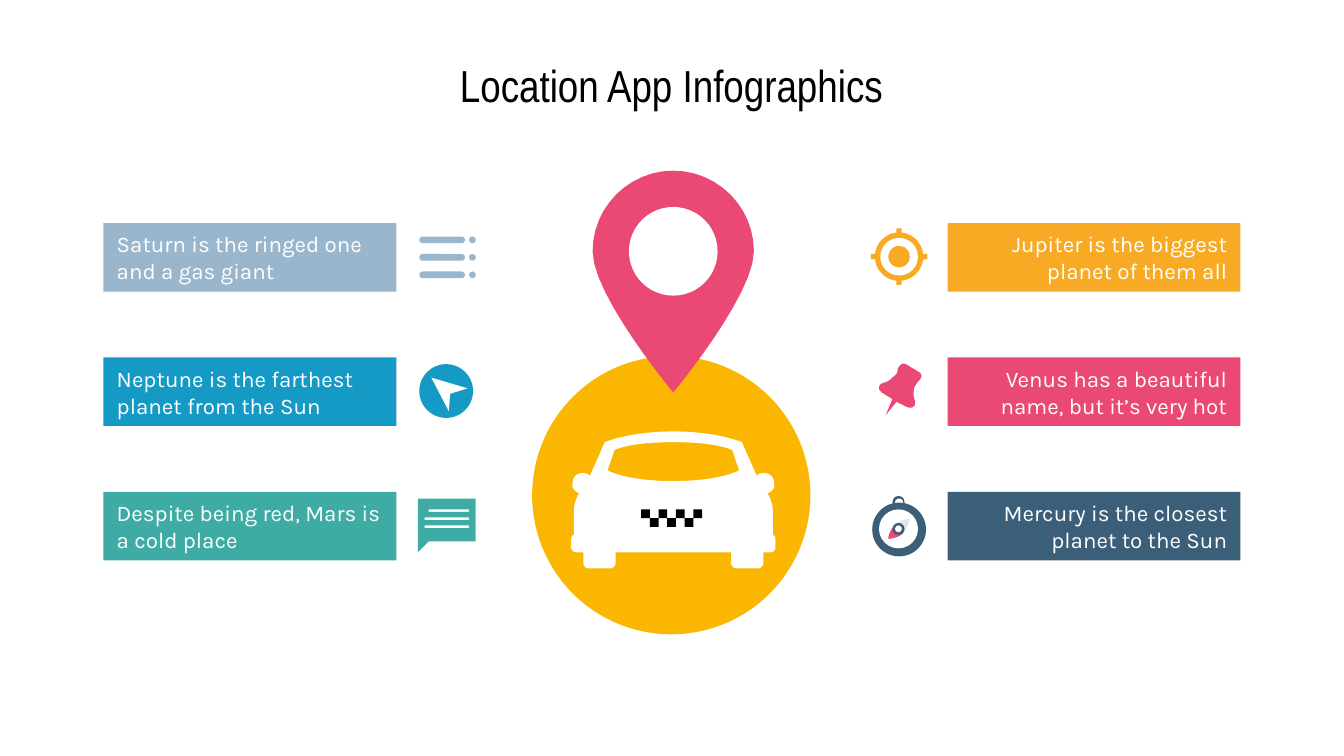
from dataclasses import dataclass

from pptx import Presentation
from pptx import util as u
from pptx.dml.color import RGBColor
from pptx.enum import shapes as sh
from pptx.enum import text as tx

PX = 9144  # EMU per px, 100 px to the inch

WHITE = RGBColor(0xFF, 0xFF, 0xFF)
BLACK = RGBColor(0x00, 0x00, 0x00)
MIST = RGBColor(0x99, 0xB6, 0xCC)
BLUE = RGBColor(0x15, 0x9A, 0xC6)
TEAL = RGBColor(0x3F, 0xAB, 0xA5)
ORANGE = RGBColor(0xF8, 0xAA, 0x25)
PINK = RGBColor(0xE9, 0x49, 0x74)
NAVY = RGBColor(0x3C, 0x5F, 0x79)
YELLOW = RGBColor(0xFA, 0xB6, 0x00)
GREY = RGBColor(0xE6, 0xE6, 0xE6)

RECT = sh.MSO_SHAPE.RECTANGLE
OVAL = sh.MSO_SHAPE.OVAL
ROUND = sh.MSO_SHAPE.ROUNDED_RECTANGLE
LEFT, RIGHT = tx.PP_ALIGN.LEFT, tx.PP_ALIGN.RIGHT

Points = list[tuple[float, float]]


@dataclass
class Card:
    x: int
    row: int
    fill: RGBColor
    align: tx.PP_ALIGN
    words: str


CARDS = [
    Card(77, 0, MIST, LEFT, "Saturn is the ringed one and a gas giant"),
    Card(77, 1, BLUE, LEFT, "Neptune is the farthest planet from the Sun"),
    Card(77, 2, TEAL, LEFT, "Despite being red, Mars is a cold place"),
    Card(705, 0, ORANGE, RIGHT, "Jupiter is the biggest planet of them all"),
    Card(705, 1, PINK, RIGHT, "Venus has a beautiful name, but it’s very hot"),
    Card(705, 2, NAVY, RIGHT, "Mercury is the closest planet to the Sun"),
]

# Outlines: a pair is a line, six numbers are a Bezier curve
PIN = [(501, 127), (468, 127, 441, 154, 441, 187), (441, 220, 501, 292, 501, 292)]
GLASS = [(501, 329), (478, 329, 463, 332, 457, 335), (455, 342, 453, 347, 452, 350),
         (452, 350, 466, 358, 501, 358)]
BODY = [(501, 321), (469, 321, 450, 329, 450, 329), (439, 354),
        (438, 353, 436, 352, 434, 352), (428, 352, 426, 356, 426, 360),
        (425, 363, 428, 366, 431, 367), (428, 372, 427, 376, 427, 381), (427, 398),
        (426, 398, 425, 400, 425, 401), (425, 407), (425, 410, 427, 411, 430, 411),
        (434, 411), (434, 419), (434, 421, 436, 423, 438, 423), (454, 423),
        (456, 423, 458, 421, 458, 419), (458, 411)]
TACK = [(674, 271), (672, 270, 670, 271, 669, 273), (668, 274), (668, 277, 667, 279, 665, 280),
        (663, 282, 661, 284, 657, 285), (654, 286, 653, 289, 655, 291), (656, 292), (664, 297),
        (659, 309), (667, 299), (675, 303), (678, 304, 679, 303, 679, 303),
        (681, 302, 681, 300, 681, 299), (679, 294, 680, 291, 680, 289),
        (681, 287, 682, 285, 684, 283), (686, 281, 686, 278, 684, 277)]
NORTH = [(677, 386), (677, 386, 670, 386, 666, 391), (672, 397), (676, 392, 677, 386, 677, 386)]
SOUTH = [(666, 391), (661, 395, 661, 401, 661, 401), (661, 401, 667, 401, 672, 397)]

prs = Presentation()
prs.slide_width = 1000 * PX
prs.slide_height = prs.slide_width * 9 // 16
slide = prs.slides.add_slide(prs.slide_layouts[5])
parts = slide.shapes


def paint(shape, fill: RGBColor):
    shape.shadow.inherit = False
    shape.fill.solid()
    shape.fill.fore_color.rgb = fill
    shape.line.fill.background()
    return shape


def block(kind: sh.MSO_SHAPE, x: int, y: int, w: int, h: int, fill: RGBColor):
    return paint(parts.add_shape(kind, x * PX, y * PX, w * PX, h * PX), fill)


def disc(x: int, y: int, d: int, fill: RGBColor):
    return block(OVAL, x, y, d, d, fill)


def trace(steps: list[tuple], cuts: int = 12) -> Points:
    """Turn lines and curves into points."""
    pts = [steps[0]]
    for step in steps[1:]:
        if len(step) == 2:
            pts.append(step)
            continue
        knots = [pts[-1], step[:2], step[2:4], step[4:]]
        for i in range(1, cuts + 1):
            t = i / cuts
            mix = ((1 - t) ** 3, 3 * t * (1 - t) ** 2, 3 * t * t * (1 - t), t ** 3)
            pts.append(tuple(sum(m * k[a] for m, k in zip(mix, knots)) for a in (0, 1)))
    return pts


def mirror(steps: list[tuple], axis: int = 501) -> Points:
    """Complete a left half with its reflection."""
    half = trace(steps)
    return half + [(2 * axis - x, y) for x, y in reversed(half)]


def box(x: float, y: float, w: float, h: float) -> Points:
    return [(x, y), (x + w, y), (x + w, y + h), (x, y + h)]


def draw(fill: RGBColor, *loops: Points):
    """Draw closed loops as one outline; inner loops are holes."""
    pen = None
    for loop in loops:
        (x, y), *rest = [(round(a * PX), round(b * PX)) for a, b in loop]
        if pen is None:
            pen = parts.build_freeform(x, y)
        else:
            pen.move_to(x, y)
        pen.add_line_segments(rest, close=True)
    return paint(pen.convert_to_shape(), fill)


def write(shape, words: str, font: str, size: int, color: RGBColor, align: tx.PP_ALIGN):
    frame = shape.text_frame
    frame.text = words
    frame.word_wrap = True
    frame.auto_size = tx.MSO_AUTO_SIZE.NONE
    frame.vertical_anchor = tx.MSO_ANCHOR.MIDDLE
    frame.margin_left = frame.margin_right = 10 * PX
    frame.margin_top = frame.margin_bottom = 10 * PX
    para = frame.paragraphs[0]
    para.alignment = align
    para.font.name, para.font.size = font, u.Pt(size)
    para.font.color.rgb = color


# Title
title = parts.title
title.left, title.top, title.width, title.height = 232 * PX, 42 * PX, 535 * PX, 42 * PX
write(title, "Location App Infographics", "Arial Narrow", 24, BLACK, tx.PP_ALIGN.CENTER)

# Text cards
for card in CARDS:
    bar = block(RECT, card.x, 166 + 100 * card.row, 218, 51, card.fill)
    write(bar, card.words, "Karla", 12, WHITE, card.align)

# Taxi and map pin
disc(396, 265, 207, YELLOW)
draw(WHITE, mirror(BODY), mirror(GLASS))
draw(PINK, mirror(PIN))
disc(468, 154, 66, WHITE)
side = 6.5
draw(BLACK, *[box(477 + side * i, 379 + side * (i % 2), side, side) for i in range(7)])

# List icon
for y in (176, 189, 202):
    block(ROUND, 312, y, 34, 5, MIST).adjustments[0] = 0.5
    disc(349, y, 5, MIST)

# Arrow icon
disc(312, 271, 40, BLUE)
draw(WHITE, [(321, 281), (334, 306), (335, 293), (348, 289)])

# Chat icon
bubble = [(311, 371), (311, 411), (319, 403), (354, 403), (354, 371)]
draw(TEAL, bubble, box(319, 379, 30, 2), box(316, 385, 33, 2), box(316, 391, 33, 2))

# Target icon
block(RECT, 667, 170, 4, 42, ORANGE)
block(RECT, 648, 189, 42, 4, ORANGE)
disc(651, 173, 36, ORANGE)
disc(655, 177, 28, WHITE)
disc(661, 183, 16, ORANGE)

# Tack icon
draw(PINK, trace(TACK))

# Compass icon
disc(664, 369, 9, NAVY)
disc(666, 371, 6, WHITE)
disc(649, 374, 40, NAVY)
disc(654, 379, 29, WHITE)
draw(GREY, trace(NORTH))
draw(PINK, trace(SOUTH))
disc(664, 389, 9, NAVY)
disc(666, 391, 5, WHITE)

prs.save("out.pptx")
